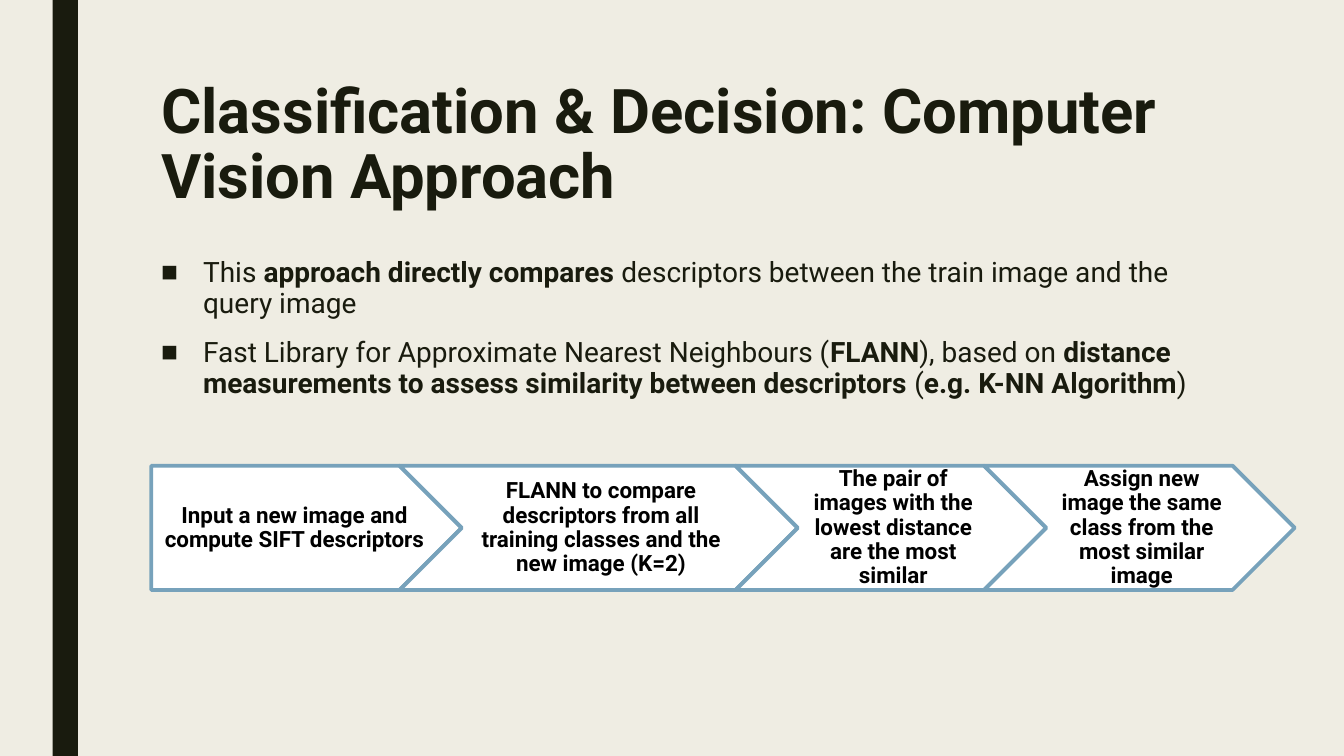
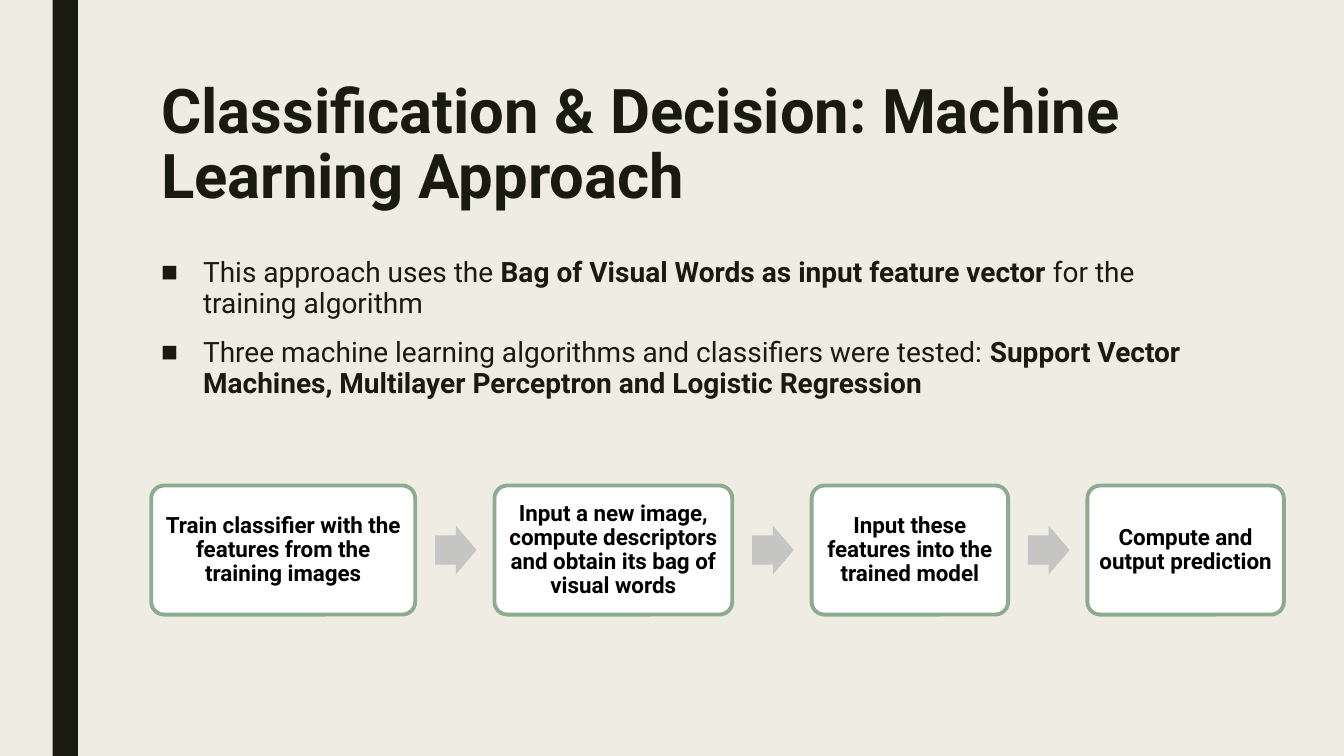
"""Builds two slides on classification approaches, each with a process row."""
from lxml import etree
from pptx import Presentation
from pptx.dml.color import RGBColor
from pptx.enum.shapes import MSO_SHAPE
from pptx.enum.text import MSO_ANCHOR, PP_ALIGN
from pptx.oxml.ns import qn
from pptx.util import Pt

RECTANGLE, ROUNDED = MSO_SHAPE.RECTANGLE, MSO_SHAPE.ROUNDED_RECTANGLE
PENTAGON, CHEVRON, ARROW = MSO_SHAPE.PENTAGON, MSO_SHAPE.CHEVRON, MSO_SHAPE.RIGHT_ARROW
MIDDLE, CENTER = MSO_ANCHOR.MIDDLE, PP_ALIGN.CENTER

CREAM = RGBColor(0xEF, 0xED, 0xE3)
INK = RGBColor(0x19, 0x1B, 0x0E)
WHITE = RGBColor(0xFF, 0xFF, 0xFF)
BLACK = RGBColor(0, 0, 0)
BLUE = RGBColor(0x77, 0xA2, 0xBB)
GREEN = RGBColor(0x8D, 0xAB, 0x8E)
GRAY = RGBColor(0xC5, 0xC5, 0xC3)
FONT = "Roboto"

LEFT, TEXT_WIDTH = 108, 756
BULLET_INDENT = 30
BOLD_MARK = "**"

VISION = {
    "title": "Classification & Decision: Computer Vision Approach",
    "bullets": [
        "This **approach directly compares** descriptors between the train image and the query image",
        "Fast Library for Approximate Nearest Neighbours (**FLANN**), based on **distance measurements "
        "to assess similarity between descriptors** (**e.g. K-NN Algorithm**)",
    ],
    "steps": [
        ("Input a new image and compute SIFT descriptors", 221.8),
        ("FLANN to compare descriptors from all training classes and the new image (K=2)", 284.4),
        ("The pair of images with the lowest distance are the most similar", 221.8),
        ("Assign new image the same class from the most similar image", 221.8),
    ],
}
LEARNING = {
    "title": "Classification & Decision: Machine Learning Approach",
    "bullets": [
        "This approach uses the **Bag of Visual Words as input feature vector** for the training algorithm",
        "Three machine learning algorithms and classifiers were tested: **Support Vector Machines, "
        "Multilayer Perceptron and Logistic Regression**",
    ],
    "steps": [
        ("Train classifier with the features from the training images", 188.6),
        ("Input a new image, compute descriptors and obtain its bag of visual words", 169.9),
        ("Input these features into the trained model", 140.4),
        ("Compute and output prediction", 140.4),
    ],
}


def add_shape(page, kind, left, top, width, height, fill, line=None):
    shape = page.shapes.add_shape(kind, Pt(left), Pt(top), Pt(width), Pt(height))
    shape.shadow.inherit = False
    shape.fill.solid()
    shape.fill.fore_color.rgb = fill
    if line is None:
        shape.line.fill.background()
    else:
        shape.line.color.rgb = line
        shape.line.width = Pt(2.75)
    return shape


def style_para(para, size, color, spacing, bold=None):
    para.line_spacing = spacing
    para.font.name = FONT
    para.font.size = Pt(size)
    para.font.color.rgb = color
    para.font.bold = bold


def add_text_box(page, top, height):
    box = page.shapes.add_textbox(Pt(LEFT), Pt(top), Pt(TEXT_WIDTH), Pt(height))
    box.text_frame.word_wrap = True
    return box.text_frame


def add_bullet(para, text):
    properties = para._p.get_or_add_pPr()
    properties.set("marL", str(Pt(BULLET_INDENT)))
    properties.set("indent", str(-Pt(BULLET_INDENT)))
    etree.SubElement(properties, qn("a:buFont"), typeface="Arial")
    etree.SubElement(properties, qn("a:buChar"), char="■")
    style_para(para, 20, INK, 0.94)
    para.space_after = Pt(2)
    for index, part in enumerate(text.split(BOLD_MARK)):
        if part:
            span = para.add_run()
            span.text = part
            span.font.bold = index % 2 == 1


def add_page(deck, content):
    page = deck.slides.add_slide(deck.slide_layouts[6])
    add_shape(page, RECTANGLE, 37.6, 0, 18, 540, INK)
    title = add_text_box(page, 54, 116.6).paragraphs[0]
    title.text = content["title"]
    style_para(title, 44, INK, 0.89, True)
    body = add_text_box(page, 180, 282)
    for index, text in enumerate(content["bullets"]):
        para = body.add_paragraph() if index else body.paragraphs[0]
        add_bullet(para, text)
        if index:
            para.space_before = Pt(10)
    return page


def write_step(shape, text, left, right, vertical):
    frame = shape.text_frame
    frame.word_wrap = True
    frame.vertical_anchor = MIDDLE
    frame.margin_left, frame.margin_right = Pt(left), Pt(right)
    frame.margin_top = frame.margin_bottom = Pt(vertical)
    para = frame.paragraphs[0]
    para.text = text
    para.alignment = CENTER
    style_para(para, 16, BLACK, 0.9, True)


def add_chevron_row(page, steps):
    left, top, height = LEFT, 332.7, 88.7
    for index, (text, width) in enumerate(steps):
        kind, margin = (CHEVRON, 5.04) if index else (PENTAGON, 6.72)
        step = add_shape(page, kind, left, top, width, height, WHITE, BLUE)
        write_step(step, text, margin, 1.68, 3.36)
        left += width - height / 2


def add_box_row(page, steps):
    left, top, height, gap = LEFT, 346.8, 92.2, 56.6
    arrow_offset, arrow_width, arrow_height = 14.2, 29.7, 34.8
    for index, (text, width) in enumerate(steps):
        if index:
            arrow = add_shape(page, ARROW, left - gap + arrow_offset,
                              top + (height - arrow_height) / 2, arrow_width, arrow_height, GRAY)
            arrow.adjustments[0] = 0.6
        step = add_shape(page, ROUNDED, left, top, width, height, WHITE, GREEN)
        step.adjustments[0] = 0.1
        write_step(step, text, 4.8, 4.8, 4.8)
        left += width + gap


def main():
    deck = Presentation()
    deck.slide_width, deck.slide_height = Pt(960), Pt(540)
    background = deck.slide_master.background.fill
    background.solid()
    background.fore_color.rgb = CREAM
    for content, add_row in ((VISION, add_chevron_row), (LEARNING, add_box_row)):
        add_row(add_page(deck, content), content["steps"])
    deck.save("out.pptx")


if __name__ == "__main__":
    main()
